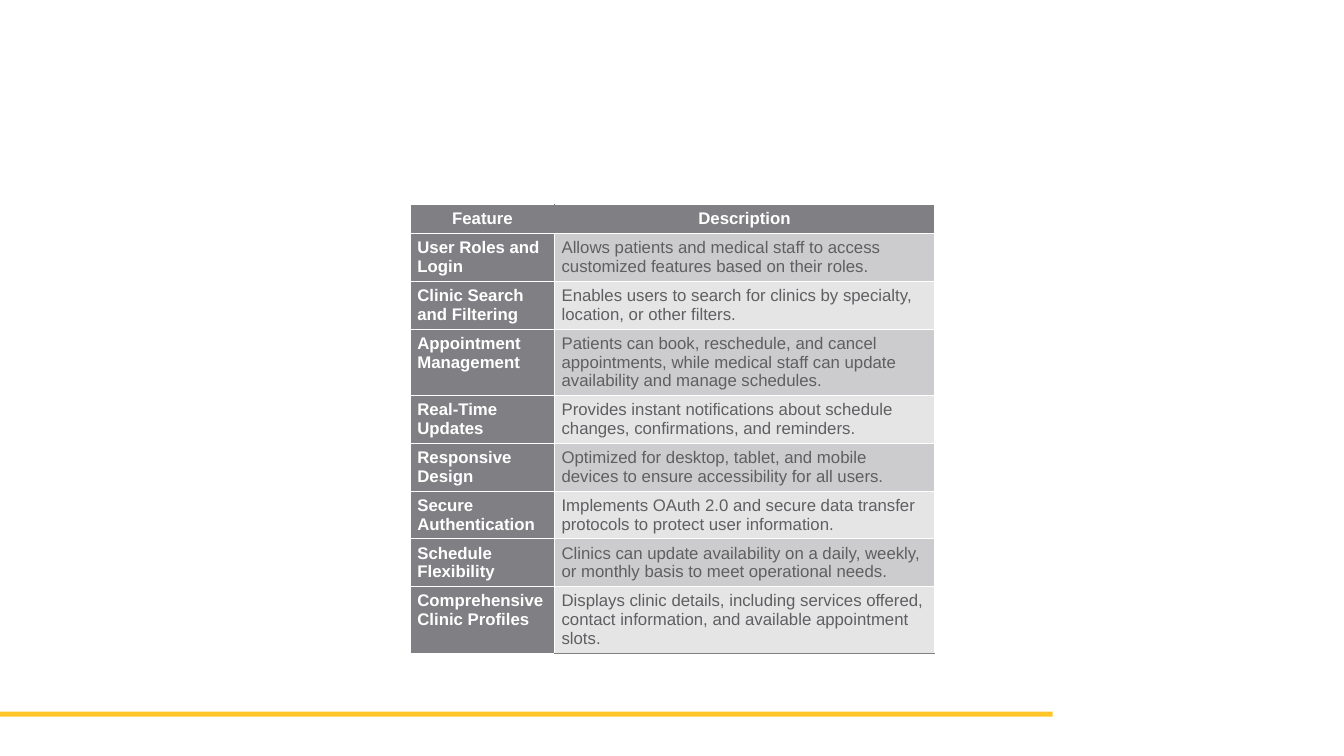
"""Build a slide with a table of clinic application features."""
import pptx
import pptx.dml.color
import pptx.enum.shapes
import pptx.enum.text
import pptx.oxml
import pptx.oxml.ns
import pptx.util

Inches = pptx.util.Inches
Pt = pptx.util.Pt
RGBColor = pptx.dml.color.RGBColor

HEADER = ("Feature", "Description")
FEATURES = [
    ("User Roles and Login",
     "Allows patients and medical staff to access customized features based on their roles."),
    ("Clinic Search and Filtering",
     "Enables users to search for clinics by specialty, location, or other filters."),
    ("Appointment Management",
     "Patients can book, reschedule, and cancel appointments, while medical staff can update "
     "availability and manage schedules."),
    ("Real-Time Updates",
     "Provides instant notifications about schedule changes, confirmations, and reminders."),
    ("Responsive Design",
     "Optimized for desktop, tablet, and mobile devices to ensure accessibility for all users."),
    ("Secure Authentication",
     "Implements OAuth 2.0 and secure data transfer protocols to protect user information."),
    ("Schedule Flexibility",
     "Clinics can update availability on a daily, weekly, or monthly basis to meet "
     "operational needs."),
    ("Comprehensive Clinic Profiles",
     "Displays clinic details, including services offered, contact information, and available "
     "appointment slots."),
]
LINES_PER_ROW = (1, 2, 2, 3, 2, 2, 2, 2, 3)
COLUMN_WIDTHS = (1.43, 3.77)
TABLE_LEFT, TABLE_TOP = 4.07, 2.03
LINE_HEIGHT, ROW_PADDING = 0.19, 0.09

WHITE = RGBColor(0xFF, 0xFF, 0xFF)
GOLD = RGBColor(0xFF, 0xC6, 0x29)
GREY = RGBColor(0x80, 0x7F, 0x83)
TEXT_GREY = RGBColor(0x5F, 0x5F, 0x62)
BANDS = (RGBColor(0xE5, 0xE5, 0xE6), RGBColor(0xCC, 0xCB, 0xCD))


def add_border(cell, side, color, width):
    """Draw one edge of a cell."""
    properties = cell._tc.get_or_add_tcPr()
    properties.append(pptx.oxml.parse_xml(
        f'<a:ln{side} {pptx.oxml.ns.nsdecls("a")} w="{Pt(width)}"><a:solidFill>'
        f'<a:srgbClr val="{color}"/></a:solidFill></a:ln{side}>'))


def format_cell(cell, text, row, column):
    """Fill a cell and style its text by its place in the table."""
    is_header = row == 0
    is_label = is_header or column == 0
    is_last = row == len(FEATURES) and column == 1
    inner_side = "R" if column == 0 else "L"
    for side in "LRTB":
        if is_last and side == "B":
            add_border(cell, side, GREY, 1)
        elif is_header and side == inner_side:
            add_border(cell, side, GREY, 0.5)
        else:
            add_border(cell, side, WHITE, 0.5)
    cell.fill.solid()
    cell.fill.fore_color.rgb = GREY if is_label else BANDS[row % 2]
    cell.margin_left = cell.margin_right = Inches(0.07)
    cell.margin_top = cell.margin_bottom = Inches(0.05)
    cell.text_frame.text = text
    paragraph = cell.text_frame.paragraphs[0]
    if is_header:
        paragraph.alignment = pptx.enum.text.PP_ALIGN.CENTER
    font = paragraph.runs[0].font
    font.name = "Arial"
    font.size = Pt(12)
    font.bold = is_label
    font.color.rgb = WHITE if is_label else TEXT_GREY


def add_feature_table(slide):
    """Add the feature table with rows sized to their text."""
    heights = [ROW_PADDING + LINE_HEIGHT * lines for lines in LINES_PER_ROW]
    rows = [HEADER, *FEATURES]
    table = slide.shapes.add_table(
        len(rows), len(HEADER), Inches(TABLE_LEFT), Inches(TABLE_TOP),
        Inches(sum(COLUMN_WIDTHS)), Inches(sum(heights))).table
    for column, width in zip(table.columns, COLUMN_WIDTHS):
        column.width = Inches(width)
    for row_index, (values, height) in enumerate(zip(rows, heights)):
        table.rows[row_index].height = Inches(height)
        for column_index, text in enumerate(values):
            format_cell(table.cell(row_index, column_index), text, row_index, column_index)


def main():
    """Create and save the presentation."""
    presentation = pptx.Presentation()
    presentation.slide_width = Inches(13.33)
    presentation.slide_height = Inches(7.5)
    slide = presentation.slides.add_slide(presentation.slide_layouts[6])
    footer_bar = slide.shapes.add_shape(
        pptx.enum.shapes.MSO_SHAPE.RECTANGLE,
        Inches(0), Inches(7.06), Inches(10.44), Inches(0.05))
    footer_bar.shadow.inherit = False
    footer_bar.fill.solid()
    footer_bar.fill.fore_color.rgb = GOLD
    footer_bar.line.fill.background()
    add_feature_table(slide)
    presentation.save("out.pptx")


if __name__ == "__main__":
    main()
